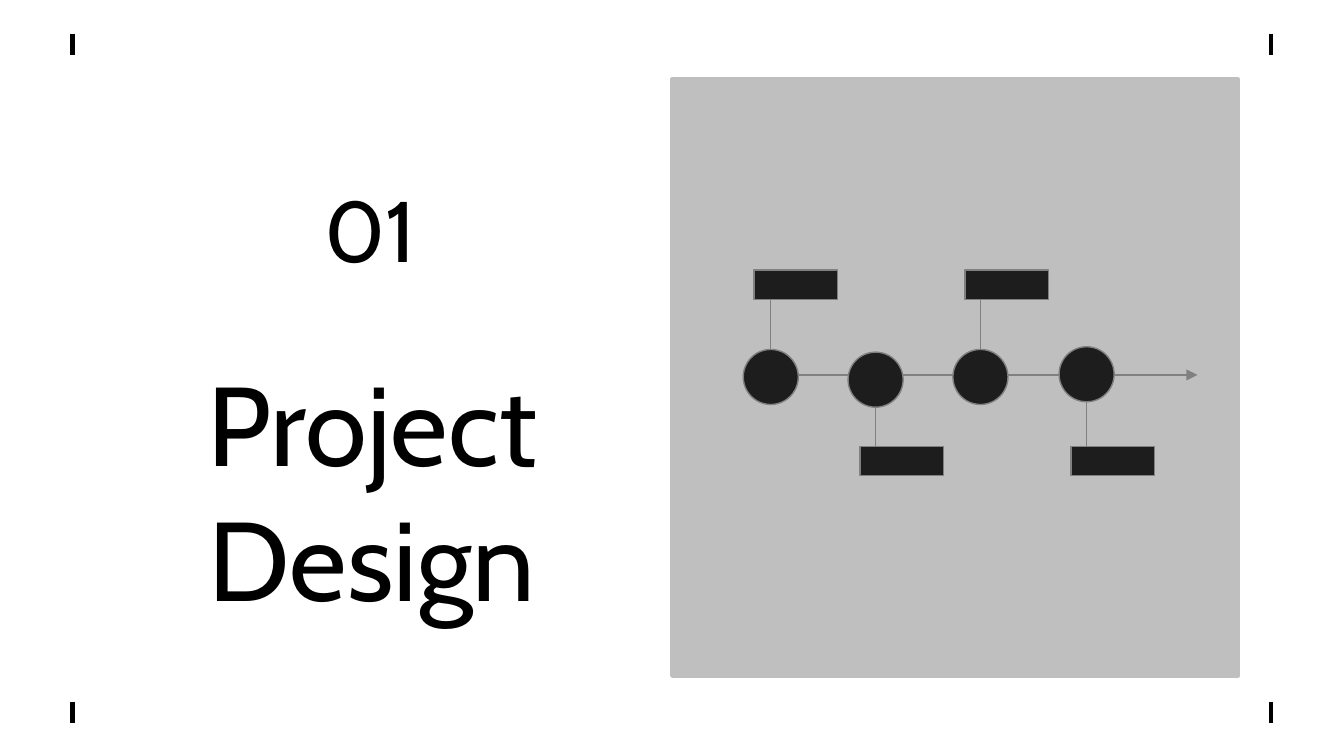
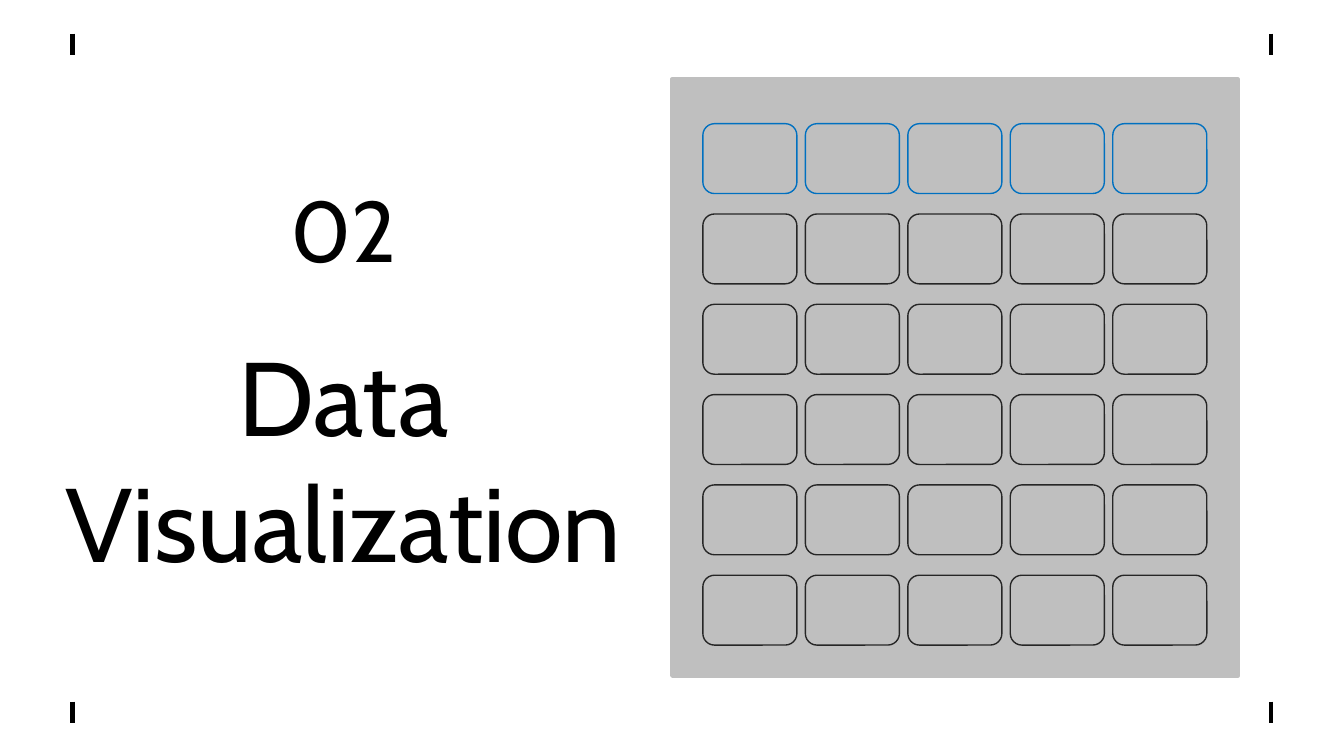
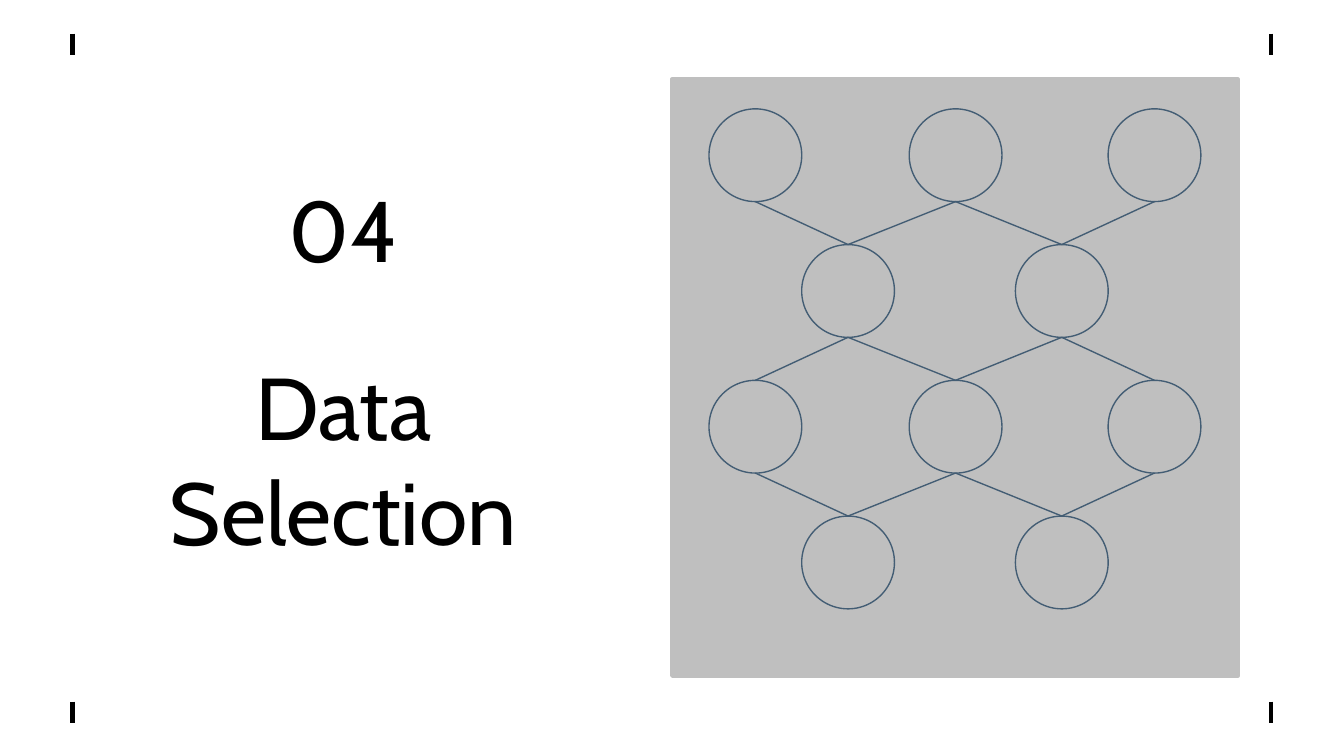
from itertools import pairwise, product

from lxml.etree import SubElement
from pptx import Presentation
from pptx.dml.color import RGBColor
from pptx.enum.shapes import MSO_CONNECTOR, MSO_SHAPE
from pptx.enum.text import MSO_ANCHOR, PP_ALIGN
from pptx.oxml.ns import qn
from pptx.util import Inches, Pt


class Theme:
    FONT = "Cabin"
    TEXT = RGBColor.from_string("000000")
    PANEL = RGBColor.from_string("BFBFBF")
    DARK = RGBColor.from_string("1D1D1D")
    GREY = RGBColor.from_string("808080")
    BLUE = RGBColor.from_string("0070C0")
    CELL = RGBColor.from_string("262626")
    NETWORK = RGBColor.from_string("435D74")
    NUMBER_SIZE = 46
    TITLE_SIZES = {"01": 60, "02": 56, "04": 47}
    THIN = 0.75
    PANEL_LINE = 2
    TICK_LINE = 2.25


# Basic elements
def add_box(s, kind, left, top, width, height, line, fill=None, weight=Theme.THIN):
    sp = s.shapes.add_shape(kind, Inches(left), Inches(top), Inches(width), Inches(height))
    sp.shadow.inherit = False
    if fill is None:
        sp.fill.background()
    else:
        sp.fill.solid()
        sp.fill.fore_color.rgb = fill
    sp.line.color.rgb = line
    sp.line.width = Pt(weight)


def add_line(s, start, end, color, weight=Theme.THIN, arrow=False):
    points = [Inches(v) for v in (*start, *end)]
    cn = s.shapes.add_connector(MSO_CONNECTOR.STRAIGHT, *points)
    cn.line.color.rgb = color
    cn.line.width = Pt(weight)
    sp_pr = cn.element.spPr
    if arrow:
        SubElement(sp_pr.find(qn("a:ln")), qn("a:tailEnd"), type="triangle")
    SubElement(sp_pr, qn("a:effectLst"))


def add_text(s, text, left, top, width, height, size):
    tb = s.shapes.add_textbox(Inches(left), Inches(top), Inches(width), Inches(height))
    tf = tb.text_frame
    tf.word_wrap = True
    tf.vertical_anchor = MSO_ANCHOR.MIDDLE
    tf.margin_left = tf.margin_right = tf.margin_top = tf.margin_bottom = Inches(0.1)
    p = tf.paragraphs[0]
    p.text = text
    p.alignment = PP_ALIGN.CENTER
    for r in p.runs:
        r.font.name = Theme.FONT
        r.font.size = Pt(size)
        r.font.color.rgb = Theme.TEXT


# Section slide: panel, title, number and corner ticks
def add_section(prs, number, title, number_left=1.26, title_box=(0.15, 2.01, 4.81, 2.79)):
    s = prs.slides.add_slide(prs.slide_layouts[6])
    add_box(s, MSO_SHAPE.RECTANGLE, 5, 0.59, 4.21, 4.44,
            Theme.PANEL, Theme.PANEL, Theme.PANEL_LINE)
    add_text(s, title, *title_box, Theme.TITLE_SIZES[number])
    add_text(s, number, number_left, 0.81, 2.59, 1.77, Theme.NUMBER_SIZE)
    for x, y in product((0.54, 9.46), (0.25, 5.22)):
        add_line(s, (x, y), (x, y + 0.16), Theme.TEXT, Theme.TICK_LINE)
    return s


# Timeline with labels alternately above and below
def add_timeline(s):
    dot, label_w, label_h, axis_y, axis_end = 0.41, 0.62, 0.22, 2.79, 8.91
    # dot left, dot top, label left, label top
    steps = [(5.53, 2.6, 5.61, 2.01), (6.31, 2.62, 6.4, 3.32),
             (7.09, 2.6, 7.18, 2.01), (7.88, 2.58, 7.97, 3.32)]
    stops = [step[0] for step in steps] + [axis_end]
    for left, right in pairwise(stops):
        add_line(s, (left + dot, axis_y), (right, axis_y), Theme.GREY,
                 arrow=right == axis_end)
    for dot_x, dot_y, label_x, label_y in steps:
        x = dot_x + dot / 2
        if label_y < dot_y:
            add_line(s, (x, dot_y), (x, label_y + label_h), Theme.GREY)
        else:
            add_line(s, (x, label_y), (x, dot_y + dot), Theme.GREY)
        add_box(s, MSO_SHAPE.RECTANGLE, label_x, label_y, label_w, label_h,
                Theme.GREY, Theme.DARK)
        add_box(s, MSO_SHAPE.OVAL, dot_x, dot_y, dot, dot, Theme.GREY, Theme.DARK)


# Grid of rounded cells with a blue header row
def add_cell_grid(s, rows=6, cols=5):
    x_step = (8.28 - 5.23) / (cols - 1)
    y_step = (4.28 - 0.92) / (rows - 1)
    for row, col in product(range(rows), range(cols)):
        add_box(s, MSO_SHAPE.FLOWCHART_ALTERNATE_PROCESS,
                5.23 + col * x_step, 0.92 + row * y_step, 0.7, 0.52,
                Theme.CELL if row else Theme.BLUE)


# Network of circles in alternating rows of three and two
def add_network(s, rows=4):
    size, top, step = 0.69, 0.81, 1.01
    wide, narrow = (5.62, 7.11, 8.59), (6.31, 7.9)
    for row in range(rows):
        y = top + row * step
        centres = narrow if row % 2 else wide
        if row < rows - 1:
            zigzag = [(x, y + size if x in centres else y + step)
                      for x in sorted(wide + narrow)]
            for start, end in pairwise(zigzag):
                add_line(s, start, end, Theme.NETWORK)
        for x in centres:
            add_box(s, MSO_SHAPE.OVAL, x - size / 2, y, size, size, Theme.NETWORK)


def main():
    prs = Presentation()
    prs.slide_width = Inches(10)
    prs.slide_height = Inches(10 * 9 / 16)

    add_timeline(add_section(prs, "01", "Project\vDesign", 1.46, (0.95, 2.49, 3.64, 2.3)))
    add_cell_grid(add_section(prs, "02", "Data\vVisualization"))
    add_network(add_section(prs, "04", "Data\vSelection"))

    prs.save("out.pptx")


if __name__ == "__main__":
    main()
